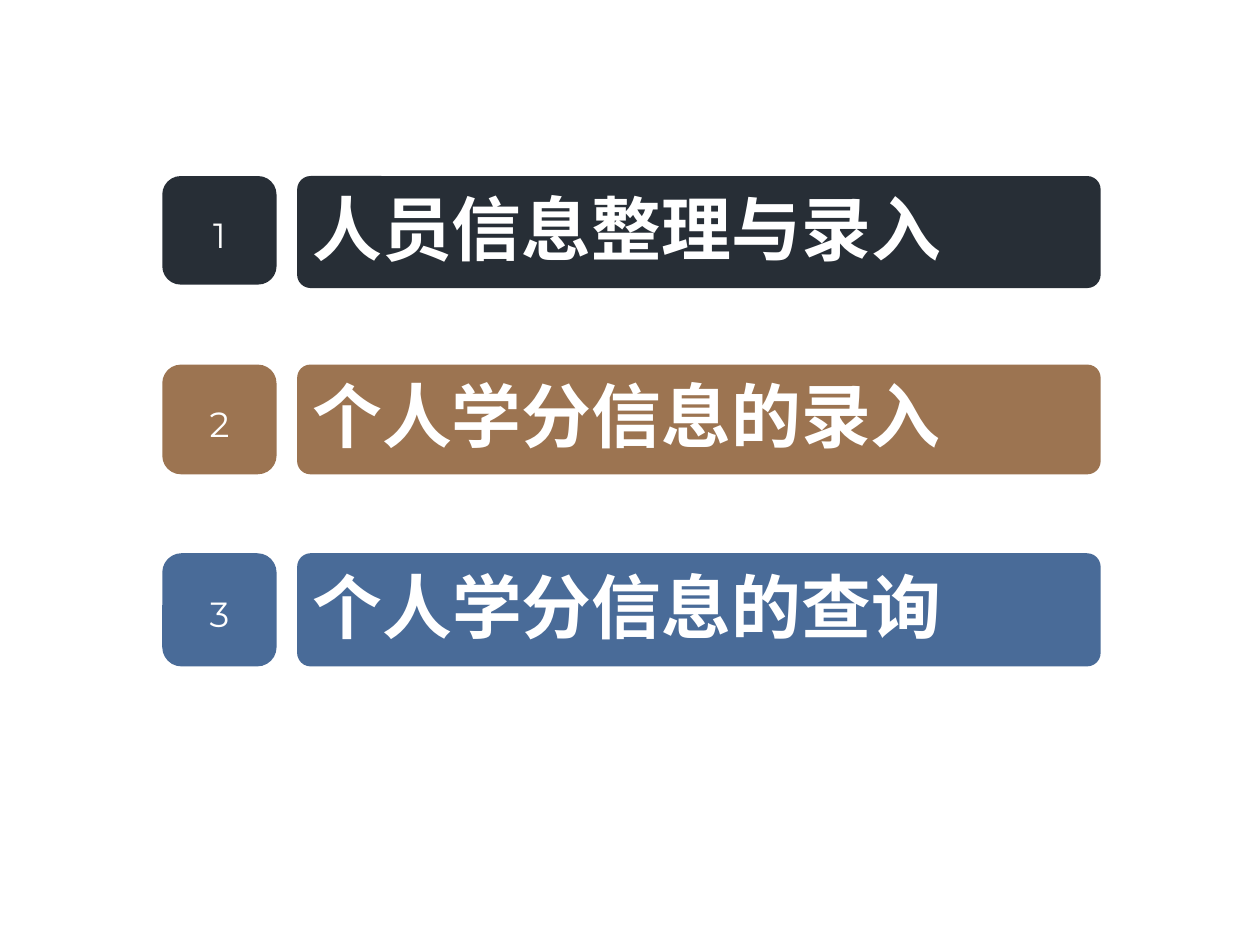
from pptx import Presentation
from pptx.dml.color import RGBColor
from pptx.enum.shapes import MSO_SHAPE
from pptx.enum.text import MSO_ANCHOR, PP_ALIGN
from pptx.util import Cm, Inches, Pt

ROUNDED = MSO_SHAPE.ROUNDED_RECTANGLE
MIDDLE = MSO_ANCHOR.MIDDLE
LEFT, CENTER = PP_ALIGN.LEFT, PP_ALIGN.CENTER

COLORS = {"dark": "272E36", "brown": "9C7451", "blue": "496B98", "white": "FFFFFF"}

# Topic, colour, number height, bar height
AGENDA = [
    ("人员信息整理与录入", "dark", 0.95, 0.98),
    ("个人学分信息的录入", "brown", 0.96, 0.96),
    ("个人学分信息的查询", "blue", 0.99, 0.99),
]
AGENDA_LEFT, AGENDA_TOP, AGENDA_WIDTH = 1.42, 1.54, 8.21
ROW_PITCH = 1.65
NUMBER_WIDTH, GAP = 1, 0.18


def add_label(page, box, color, corner, text, font, size, bold, align, spacing):
    """Add a filled rounded box holding one line of white text."""
    label = page.shapes.add_shape(ROUNDED, *(Inches(length) for length in box))
    label.adjustments[0] = corner
    label.shadow.inherit = False
    label.fill.solid()
    label.fill.fore_color.rgb = RGBColor.from_string(COLORS[color])
    label.line.fill.background()

    frame = label.text_frame
    frame.word_wrap = True
    frame.vertical_anchor = MIDDLE
    frame.margin_left = frame.margin_right = Inches(0.1)
    frame.margin_top = frame.margin_bottom = Inches(0.05)

    para = frame.paragraphs[0]
    para.alignment = align
    para.line_spacing = spacing
    span = para.add_run()
    span.text = text
    span.font.name = font
    span.font.size = Pt(size)
    span.font.bold = bold
    span.font.color.rgb = RGBColor.from_string(COLORS["white"])


def add_agenda(page, left, top, width):
    bar_left = left + NUMBER_WIDTH + GAP
    bar_width = width - NUMBER_WIDTH - GAP
    for index, (topic, color, number_height, bar_height) in enumerate(AGENDA):
        row_top = top + index * ROW_PITCH
        add_label(page, (bar_left, row_top, bar_width, bar_height), color, 0.12,
                  topic, "Arial", 44, True, LEFT, 0.93)
        add_label(page, (left, row_top, NUMBER_WIDTH, number_height), color, 0.17,
                  str(index + 1), "Montserrat", 22, False, CENTER, 1.18)


def main():
    deck = Presentation()
    deck.slide_width, deck.slide_height = Cm(28), Cm(21)
    blank_layout = deck.slide_layouts[6]
    page = deck.slides.add_slide(blank_layout)
    add_agenda(page, AGENDA_LEFT, AGENDA_TOP, AGENDA_WIDTH)
    deck.save("out.pptx")


if __name__ == "__main__":
    main()
